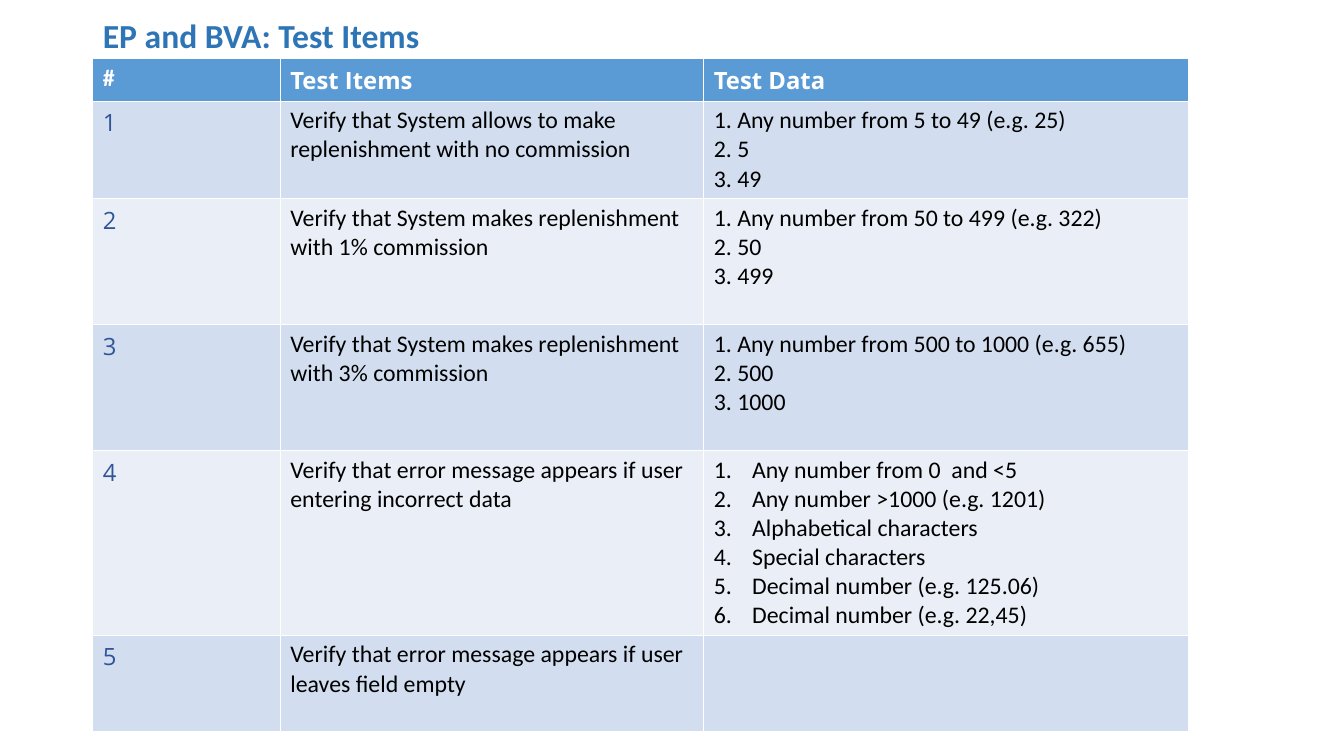
"""Build the slide that lists EP and BVA test items with their test data."""
from dataclasses import dataclass

from lxml.etree import SubElement
from pptx import Presentation
from pptx.dml.color import RGBColor
from pptx.enum.text import MSO_ANCHOR, PP_ALIGN
from pptx.oxml.ns import qn
from pptx.util import Inches, Pt


@dataclass(frozen=True)
class Theme:
    title: str = "2E75B6"
    header: str = "5B9BD5"
    bands: tuple = ("D2DEEF", "EAEFF7")
    number: str = "2F5597"
    body: str = "000000"
    white: str = "FFFFFF"
    text_font: str = "Calibri"
    accent_font: str = "Open Sans"
    title_size: int = 24
    table_size: int = 17


def style_text(frame, font, size, color, bold=False):
    for paragraph in frame.paragraphs:
        for run in paragraph.runs:
            run.font.name = font
            run.font.size = Pt(size)
            run.font.bold = bold
            run.font.color.rgb = RGBColor.from_string(color)


def number_paragraphs(frame):
    for paragraph in frame.paragraphs:
        properties = paragraph._p.get_or_add_pPr()
        properties.set("marL", str(Inches(0.38)))
        properties.set("indent", str(-Inches(0.38)))
        SubElement(properties, qn("a:buFont"), typeface="+mj-lt")
        SubElement(properties, qn("a:buAutoNum"), type="arabicPeriod")


theme = Theme()
headings = ("#", "Test Items", "Test Data")
test_items = [
    ("Verify that System allows to make replenishment with no commission",
     ["1. Any number from 5 to 49 (e.g. 25)", "2. 5", "3. 49"]),
    ("Verify that System makes replenishment with 1% commission",
     ["1. Any number from 50 to 499 (e.g. 322)", "2. 50", "3. 499"]),
    ("Verify that System makes replenishment with 3% commission",
     ["1. Any number from 500 to 1000 (e.g. 655)", "2. 500", "3. 1000"]),
    ("Verify that error message appears if user entering incorrect data",
     ["Any number from 0  and <5", "Any number >1000 (e.g. 1201)",
      "Alphabetical characters", "Special characters",
      "Decimal number (e.g. 125.06)", "Decimal number (e.g. 22,45)"]),
    ("Verify that error message appears if user leaves field empty ", []),
]
auto_numbered_item = 4
column_widths = (1.86, 4.2, 4.81)
row_heights = (0.38, 0.96, 1.25, 1.25, 1.83, 0.96)

presentation = Presentation()
presentation.slide_width = Inches(13.33)
presentation.slide_height = Inches(7.5)
slide = presentation.slides.add_slide(presentation.slide_layouts[5])

title = slide.shapes.title
title.left, title.top = Inches(0.92), Inches(0)
title.width, title.height = Inches(11.83), Inches(0.75)
title.text_frame.text = "EP and BVA: Test Items"
title.text_frame.vertical_anchor = MSO_ANCHOR.MIDDLE
title.text_frame.paragraphs[0].alignment = PP_ALIGN.LEFT
title.text_frame.paragraphs[0].line_spacing = 0.9
style_text(title.text_frame, theme.text_font, theme.title_size, theme.title, True)

items_table = slide.shapes.add_table(
    len(row_heights), len(column_widths), Inches(0.92), Inches(0.58),
    Inches(sum(column_widths)), Inches(sum(row_heights))).table
for column, width in zip(items_table.columns, column_widths):
    column.width = Inches(width)
for row, height in zip(items_table.rows, row_heights):
    row.height = Inches(height)

for column_index, heading in enumerate(headings):
    cell = items_table.cell(0, column_index)
    cell.text_frame.text = heading
    font = theme.accent_font if column_index else theme.text_font
    style_text(cell.text_frame, font, theme.table_size, theme.white, True)
    cell.fill.solid()
    cell.fill.fore_color.rgb = RGBColor.from_string(theme.header)

for number, (item, data) in enumerate(test_items, start=1):
    contents = (
        (str(number), theme.accent_font, theme.number),
        (item, theme.text_font, theme.body),
        ("\n".join(data), theme.text_font, theme.body),
    )
    for column_index, (text, font, color) in enumerate(contents):
        cell = items_table.cell(number, column_index)
        cell.text_frame.text = text
        style_text(cell.text_frame, font, theme.table_size, color)
        cell.fill.solid()
        cell.fill.fore_color.rgb = RGBColor.from_string(theme.bands[(number - 1) % 2])

number_paragraphs(items_table.cell(auto_numbered_item, 2).text_frame)

presentation.save("out.pptx")
